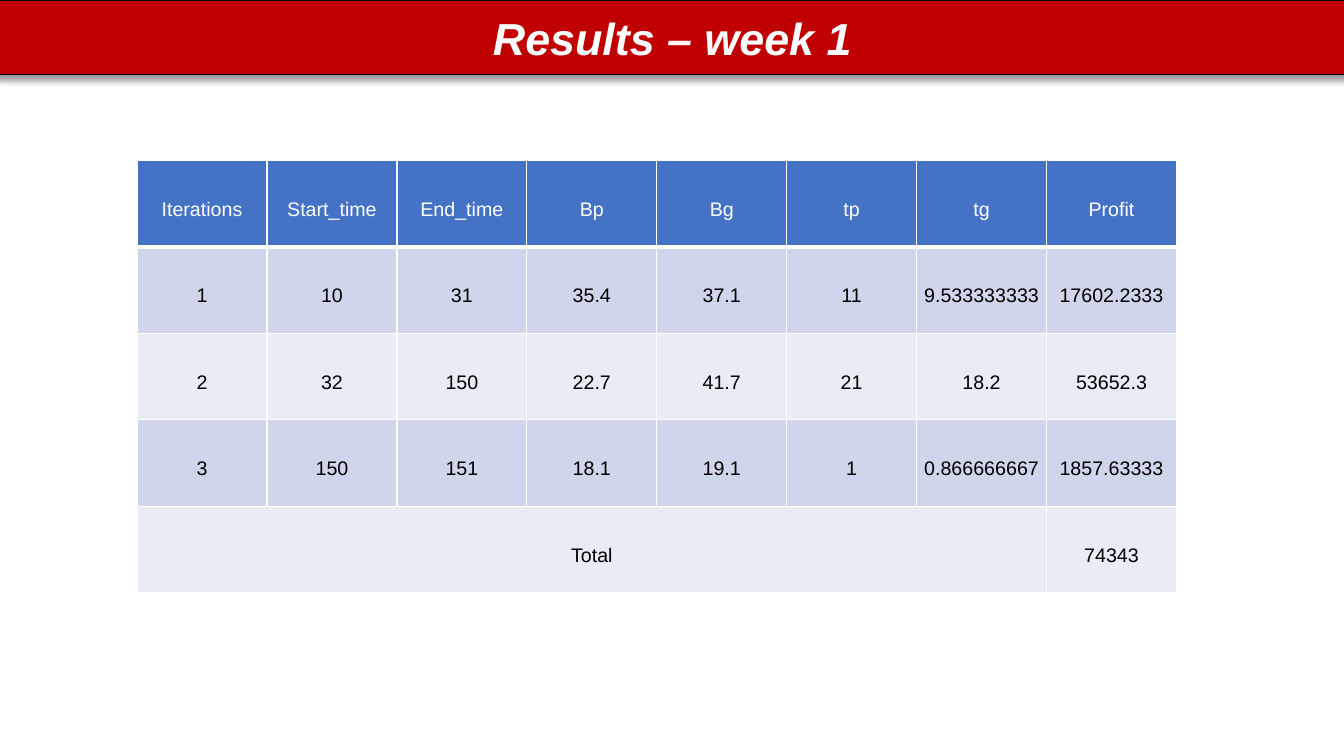
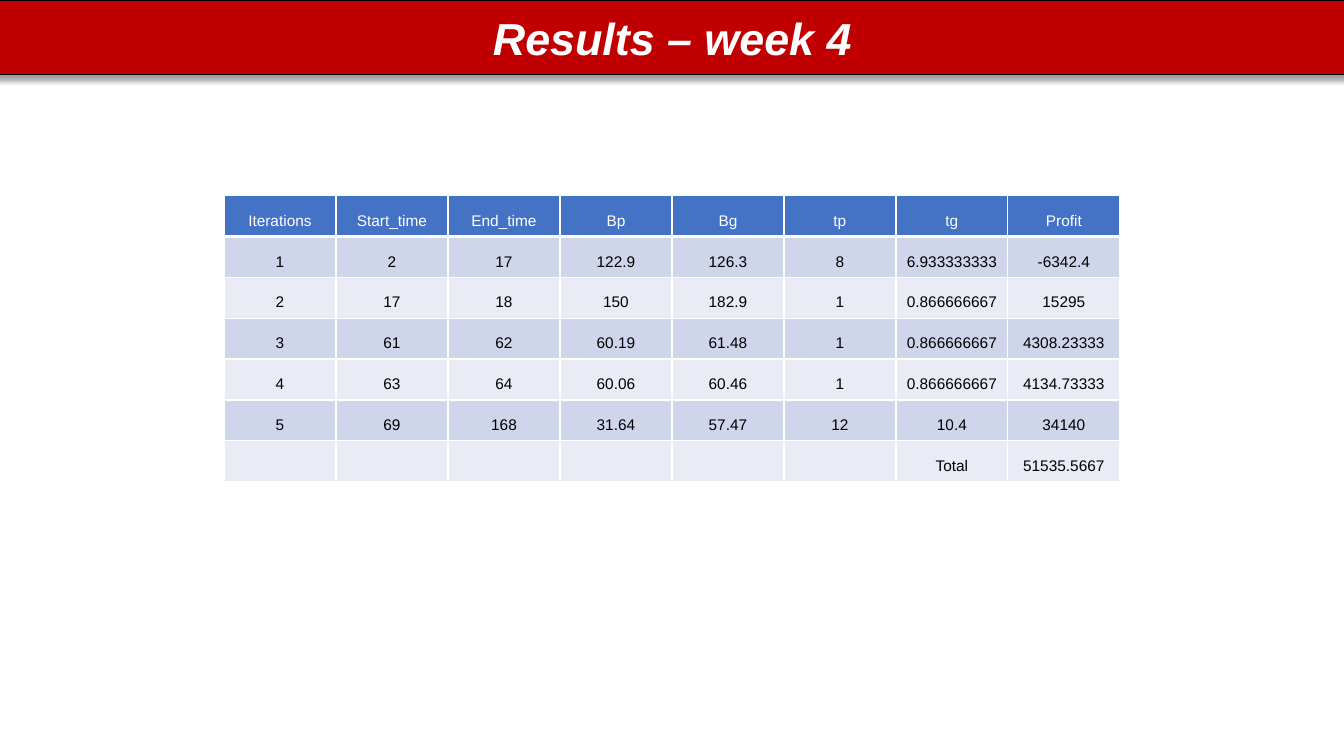
from lxml.etree import SubElement as Sub
from pptx import Presentation
from pptx.dml.color import RGBColor as RGB
from pptx.enum.shapes import MSO_SHAPE as Shape
from pptx.enum.text import MSO_ANCHOR as Anchor, PP_ALIGN as Align
from pptx.oxml.ns import qn
from pptx.util import Inches, Pt

WIDE, HIGH = Inches(13.33), Inches(7.5)
RED = RGB(0xC0, 0x00, 0x00)
BLUE = RGB(0x44, 0x72, 0xC4)
DARK = RGB(0xCF, 0xD5, 0xEA)
PALE = RGB(0xE9, 0xEB, 0xF5)
WHITE = RGB(0xFF, 0xFF, 0xFF)
BLACK = RGB(0x00, 0x00, 0x00)
FONT = "Arial"

# Boxes are left, top, width, height in percent of the slide.
BAND = (-0.38, 0, 100.83, 9.87)
HEAD = ["Iterations", "Start_time", "End_time", "Bp", "Bg", "tp", "tg", "Profit"]
WEEKS = [
    dict(title="Results – week 1", box=(10.2, 21.2, 77.34, 57.2), size=14, span=7, rows=[
        ["1", "10", "31", "35.4", "37.1", "11", "9.533333333", "17602.2333"],
        ["2", "32", "150", "22.7", "41.7", "21", "18.2", "53652.3"],
        ["3", "150", "151", "18.1", "19.1", "1", "0.866666667", "1857.63333"],
        ["Total", "", "", "", "", "", "", "74343"],
    ]),
    dict(title="Results – week 4", box=(16.67, 25.87, 66.67, 37.87), size=11, span=1, rows=[
        ["1", "2", "17", "122.9", "126.3", "8", "6.933333333", "-6342.4"],
        ["2", "17", "18", "150", "182.9", "1", "0.866666667", "15295"],
        ["3", "61", "62", "60.19", "61.48", "1", "0.866666667", "4308.23333"],
        ["4", "63", "64", "60.06", "60.46", "1", "0.866666667", "4134.73333"],
        ["5", "69", "168", "31.64", "57.47", "12", "10.4", "34140"],
        ["", "", "", "", "", "", "Total", "51535.5667"],
    ]),
]


def place(box):
    """Turn a box in percent into slide lengths."""
    return [int(share * side / 100) for share, side in zip(box, (WIDE, HIGH) * 2)]


def write(para, text, size, color, strong=False):
    para.alignment = Align.CENTER
    run = para.add_run()
    run.text = text
    font = run.font
    font.name, font.size, font.color.rgb = FONT, Pt(size), color
    font.bold = font.italic = strong


def shade(shape):
    """Cast a soft shadow straight down."""
    fx = Sub(shape._element.spPr, qn("a:effectLst"))
    cast = Sub(fx, qn("a:outerShdw"), blurRad=str(Pt(4)), dist=str(Pt(3)),
               dir="5400000", algn="t", rotWithShape="0")
    tint = Sub(cast, qn("a:srgbClr"), val=str(BLACK))
    Sub(tint, qn("a:alpha"), val="40000")


def band(slide, box, title):
    bar = slide.shapes.add_shape(Shape.RECTANGLE, *place(box))
    bar.fill.solid()
    bar.fill.fore_color.rgb = RED
    bar.line.color.rgb = BLACK
    bar.line.width = Pt(1)
    shade(bar)
    frame = bar.text_frame
    frame.vertical_anchor = Anchor.MIDDLE
    write(frame.paragraphs[0], title, 32, WHITE, strong=True)


def edge(cell, row):
    """Draw white borders, thick between the head and the first row."""
    thick = {0: "lnB", 1: "lnT"}.get(row)
    props = cell._tc.get_or_add_tcPr()
    for side in ("lnL", "lnR", "lnT", "lnB"):
        line = Sub(props, qn("a:" + side), w=str(Pt(3 if side == thick else 1)))
        Sub(Sub(line, qn("a:solidFill")), qn("a:srgbClr"), val=str(WHITE))


def style(cell, row, text, size):
    edge(cell, row)
    cell.fill.solid()
    cell.fill.fore_color.rgb = BLUE if row == 0 else DARK if row % 2 else PALE
    cell.vertical_anchor = Anchor.MIDDLE
    cell.margin_left = cell.margin_right = cell.margin_top = Inches(0.01)
    cell.margin_bottom = 0
    if text:
        para = cell.text_frame.paragraphs[0]
        para.line_spacing = 1.5
        write(para, text, size, BLACK if row else WHITE)


def grid(slide, box, rows, size, span):
    """Place the table; the last row's first cell covers span columns."""
    left, top, wide, high = place(box)
    table = slide.shapes.add_table(len(rows), len(HEAD), left, top, wide, high).table
    for col in table.columns:
        col.width = wide // len(HEAD)
    for r, row in enumerate(rows):
        table.rows[r].height = high // len(rows)
        for c, text in enumerate(row):
            style(table.cell(r, c), r, text, size)
    if span > 1:
        last = len(rows) - 1
        table.cell(last, 0).merge(table.cell(last, span - 1))


def week(deck, title, box, size, span, rows):
    slide = deck.slides.add_slide(deck.slide_layouts[6])
    band(slide, BAND, title)
    grid(slide, box, [HEAD] + rows, size, span)


def main():
    deck = Presentation()
    deck.slide_width, deck.slide_height = WIDE, HIGH
    for data in WEEKS:
        week(deck, **data)
    deck.save("out.pptx")


if __name__ == "__main__":
    main()
